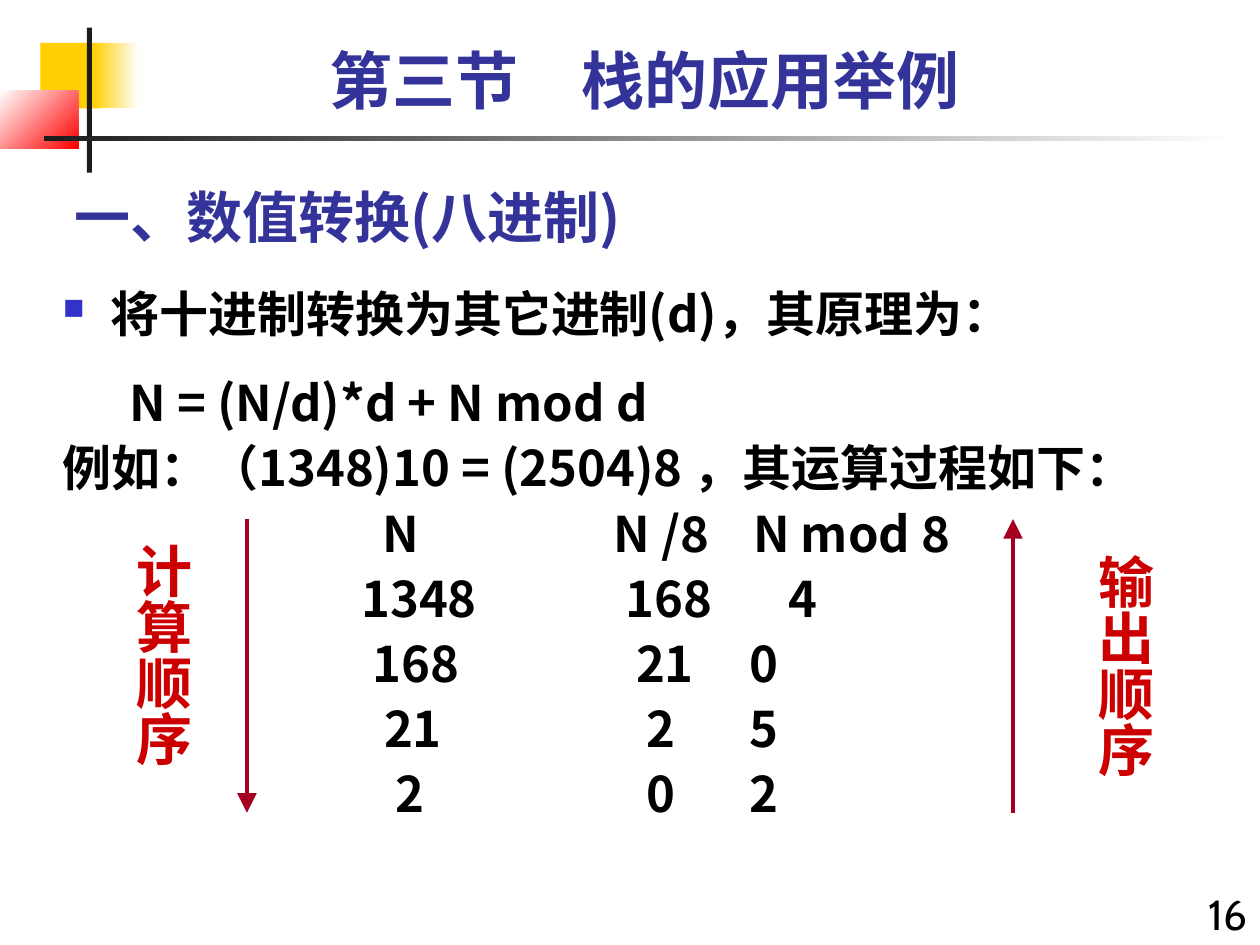
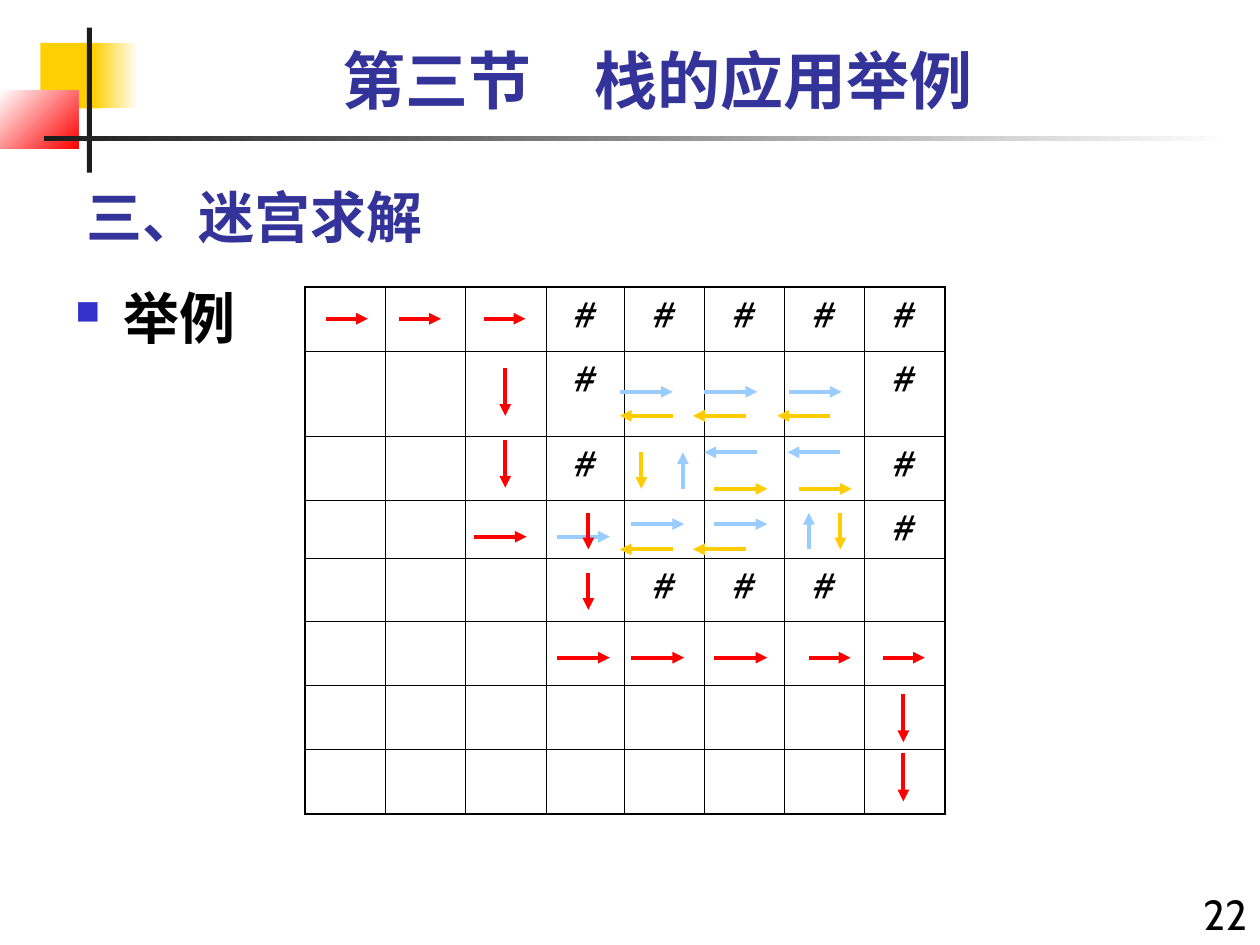
from lxml import etree
from pptx import Presentation
from pptx.dml.color import RGBColor
from pptx.enum.shapes import MSO_CONNECTOR, MSO_SHAPE
from pptx.enum.text import MSO_ANCHOR, PP_ALIGN
from pptx.oxml.ns import qn
from pptx.util import Inches, Pt

INK, NAVY, BLACK = "1C1C1C", "333399", "000000"
GOLD, RED, WHITE = "FFCF01", "FF0000", "FFFFFF"
SKY, AMBER, WINE, BRICK = "99CCFF", "FFCC00", "A50021", "CC0000"
SANS, CABIN, TIMES = "Noto Sans CJK SC", "Cabin", "Times New Roman"


def rgb(code):
    return RGBColor.from_string(code)


def sub(parent, tag, **attrs):
    node = etree.SubElement(parent, qn(tag))
    for key, value in attrs.items():
        node.set(key, str(value))
    return node


class Deck:
    def __init__(self):
        self.prs = Presentation()
        self.prs.slide_width, self.prs.slide_height = Inches(10), Inches(7.5)
        self.slide = None

    def start(self, heading, number, left):
        """Add a slide with the shared band, title, heading and number."""
        self.slide = self.prs.slides.add_slide(self.prs.slide_layouts[6])
        self.rect(0.32, 0.34, 0.48, 0.52, GOLD)
        self.rect(0.74, 0.34, 0.36, 0.52, GOLD, WHITE)
        self.rect(0, 0.72, 0.62, 0.46, WHITE, RED, 315)
        self.rect(0.69, 0.22, 0.04, 1.15, INK)
        self.rect(0.35, 1.08, 9.45, 0.04, INK, WHITE)
        frame = self.box(left, 1.28, 6.25, 0.75)
        frame.vertical_anchor = MSO_ANCHOR.BOTTOM
        self.para(frame, heading, 32, NAVY)
        self.para(self.box(9.33, 7, 0.67, 0.59), number, 24, BLACK, CABIN,
                  bold=False, align=PP_ALIGN.RIGHT)
        self.para(self.box(left, 0.28, 9.25, 0.7), "第三节　栈的应用举例",
                  36, NAVY, CABIN, align=PP_ALIGN.CENTER)

    def rect(self, x, y, w, h, color, fade=None, angle=0):
        shape = self.slide.shapes.add_shape(
            MSO_SHAPE.RECTANGLE, Inches(x), Inches(y), Inches(w), Inches(h))
        shape.shadow.inherit = False
        shape.line.fill.background()
        if fade is None:
            shape.fill.solid()
            shape.fill.fore_color.rgb = rgb(color)
            return
        shape.fill.gradient()
        shape.fill.gradient_angle = angle
        for stop, code in zip(shape.fill.gradient_stops, (color, fade)):
            stop.color.rgb = rgb(code)

    def box(self, x, y, w, h):
        frame = self.slide.shapes.add_textbox(
            Inches(x), Inches(y), Inches(w), Inches(h)).text_frame
        frame.word_wrap = True
        return frame

    def para(self, frame, text, size, color, face=SANS, bold=True,
             align=PP_ALIGN.LEFT, before=0, indent=0, bullet=False):
        para = frame.paragraphs[0]
        if para.text:
            para = frame.add_paragraph()
            para.space_before = Pt(before)
        para.text = text
        para.alignment = align
        props = para._p.get_or_add_pPr()
        props.set("marL", str(Inches(indent)))
        props.set("indent", str(-Inches(indent) if bullet else 0))
        if bullet:
            sub(sub(props, "a:buClr"), "a:srgbClr", val="3333CC")
            sub(props, "a:buSzPct", val=60000)
            sub(props, "a:buFont", typeface="Wingdings", charset=2)
            sub(props, "a:buChar", char="n")
        font = para.font
        font.name, font.size, font.bold = face, Pt(size), bold
        font.color.rgb = rgb(color)

    def upright(self, text, x, y):
        """Stack a red label from top to bottom."""
        frame = self.box(x, y, 0.73, 1.88)
        frame.word_wrap = False
        frame.margin_left = frame.margin_right = Inches(0.05)
        frame.margin_top = frame.margin_bottom = Inches(0.1)
        frame._txBody.bodyPr.set("vert", "eaVert")
        self.para(frame, text, 32, BRICK, TIMES)

    def arrow(self, x, y, dx, dy, color, head="med"):
        line = self.slide.shapes.add_connector(
            MSO_CONNECTOR.STRAIGHT, Inches(x), Inches(y),
            Inches(x + dx), Inches(y + dy))
        line.line.color.rgb = rgb(color)
        line.line.width = Pt(2.25)
        sub(line.line._get_or_add_ln(), "a:tailEnd", type="triangle",
            w=head, len=head)
        sub(line._element.spPr, "a:effectLst")

    def border(self, cell, sides):
        props = cell._tc.get_or_add_tcPr()
        for spot, (side, width) in enumerate(sides.items()):
            edge = etree.Element(qn(f"a:{side}"), w=str(Pt(width)))
            sub(sub(edge, "a:solidFill"), "a:srgbClr", val=BLACK)
            props.insert(spot, edge)

    def grid(self, x, y, widths, heights, walls):
        rows, cols = len(heights), len(widths)
        table = self.slide.shapes.add_table(
            rows, cols, Inches(x), Inches(y),
            Inches(sum(widths)), Inches(sum(heights))).table
        table.first_row = table.horz_banding = False
        for col, width in zip(table.columns, widths):
            col.width = Inches(width)
        for row, height in zip(table.rows, heights):
            row.height = Inches(height)
        for r, marks in enumerate(walls):
            for c, mark in enumerate(marks):
                cell = table.cell(r, c)
                cell.fill.background()
                outer = {"lnL": c == 0, "lnR": c == cols - 1,
                         "lnT": r == 0, "lnB": r == rows - 1}
                self.border(cell, {side: 1.08 if edge else 0.45
                                   for side, edge in outer.items()})
                self.para(cell.text_frame, mark.strip("."), 20, BLACK, CABIN,
                          bold=False, align=PP_ALIGN.CENTER)


def convert(deck):
    deck.start("一、数值转换(八进制)", "16", 0.49)
    body = deck.box(0.4, 2.2, 9.58, 1.75)
    deck.para(body, "将十进制转换为其它进制(d)，其原理为：", 28, BLACK,
              indent=0.38, bullet=True)
    deck.para(body, "N = (N/d)*d + N mod d", 28, BLACK, before=17.5, indent=0.53)
    deck.para(body, "例如：（1348)10 = (2504)8 ，其运算过程如下：", 28, BLACK,
              before=3.5)
    # Division steps by column: left edge, then each value with its indent
    columns = [
        (2.77, [("N", 0.17), ("1348", 0), ("168", 0.09), ("21", 0.18),
                ("2", 0.27)]),
        (4.77, [("N /8", 0), ("168", 0.1), ("21", 0.18), ("2", 0.26),
                ("0", 0.26)]),
        (5.85, [("N mod 8", 0.03), ("4", 0.31), ("0", 0), ("5", 0), ("2", 0)]),
    ]
    for left, values in columns:
        frame = deck.box(left, 3.95, 1.9, 2.65)
        for value, indent in values:
            deck.para(frame, value, 28, BLACK, before=3.5, indent=indent)
    # Reading directions
    deck.arrow(1.96, 4.12, 0, 2.33, WINE, "lg")
    deck.arrow(8.04, 6.45, 0, -2.33, WINE, "lg")
    deck.upright("输出顺序", 8.51, 4.3)
    deck.upright("计算顺序", 0.88, 4.21)


def maze(deck):
    deck.start("三、迷宫求解", "22", 0.59)
    deck.para(deck.box(0.5, 2.2, 1.8, 0.7), "举例", 32, BLACK,
              indent=0.38, bullet=True)
    # Maze walls
    walls = ["...#####", "...#...#", "...#...#", ".......#",
             "....###.", "........", "........", "........"]
    step = 5.08 / 8
    deck.grid(2.42, 2.28, [step, step, 0.65, 0.62] + [step] * 4,
              [0.51, 0.67, 0.51, 0.46, 0.5, 0.51, 0.51, 0.51], walls)
    # Moves: tried (sky), undone (amber), final path (red)
    far, near, drop, hop = 0.42, 0.33, 0.38, 0.29
    moves = [
        (SKY, far, 0, [(4.42, 4.26), (5.01, 4.16), (5.67, 4.16),
                       (4.92, 3.11), (5.59, 3.11), (6.26, 3.11)]),
        (SKY, -far, 0, [(6.67, 3.59), (6.01, 3.59)]),
        (SKY, 0, -hop, [(6.42, 4.36), (5.42, 3.88)]),
        (AMBER, -far, 0, [(6.59, 3.3), (5.92, 3.3), (5.34, 3.3),
                          (5.92, 4.36), (5.34, 4.36)]),
        (AMBER, far, 0, [(5.67, 3.88), (6.34, 3.88)]),
        (AMBER, 0, hop, [(5.09, 3.59), (6.67, 4.07)]),
        (RED, near, 0, [(2.59, 2.53), (3.17, 2.53), (3.84, 2.53),
                        (6.42, 5.22), (7.01, 5.22)]),
        (RED, far, 0, [(3.76, 4.26), (4.42, 5.22), (5.01, 5.22), (5.67, 5.22)]),
        (RED, 0, drop, [(4.01, 2.92), (4.01, 3.49), (7.17, 5.51), (7.17, 5.98)]),
        (RED, 0, hop, [(4.67, 4.07), (4.67, 4.55)]),
    ]
    for color, dx, dy, spots in moves:
        for x, y in spots:
            deck.arrow(x, y, dx, dy, color)


def main():
    deck = Deck()
    convert(deck)
    maze(deck)
    deck.prs.save("out.pptx")


if __name__ == "__main__":
    main()
